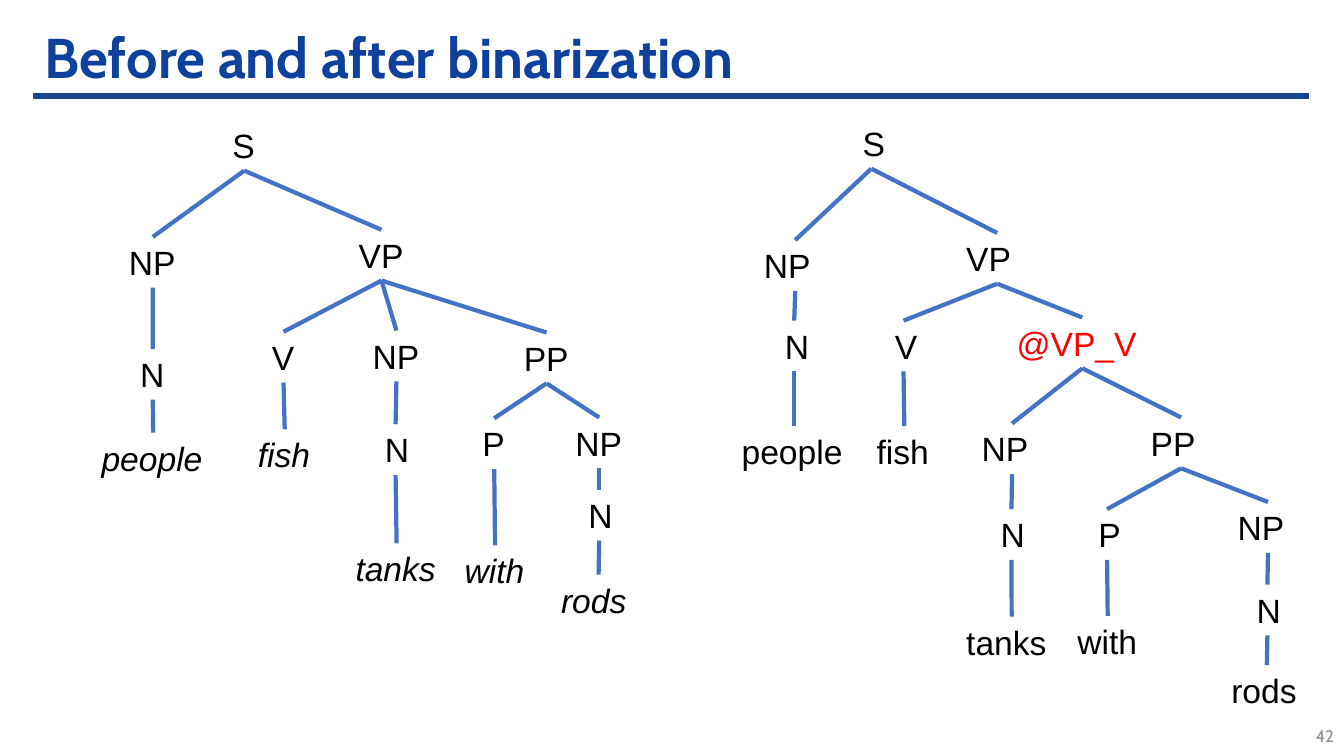
import pptx
import pptx.dml.color
import pptx.enum.shapes
import pptx.enum.text
import pptx.oxml.ns
import pptx.util
from lxml import etree

Cm, Pt = pptx.util.Cm, pptx.util.Pt
MSO_ANCHOR, PP_ALIGN = pptx.enum.text.MSO_ANCHOR, pptx.enum.text.PP_ALIGN

TITLE = "Before and after binarization"
PAGE = "42"

# Node: label, left, top, width (cm), then its child nodes
BEFORE = (
    "S", 5.61, 3.02, 1.09,
    ("NP", 3.0, 5.97, 1.7,
     ("N", 3.28, 8.79, 1.14,
      ("people", 2.31, 10.9, 3.1))),
    ("VP", 8.79, 5.79, 1.65,
     ("V", 6.6, 8.36, 1.09,
      ("fish", 6.25, 10.82, 1.85)),
     ("NP", 9.14, 8.33, 1.7,
      ("N", 9.45, 10.69, 1.04,
       ("tanks", 8.71, 13.69, 2.57))),
     ("PP", 12.95, 8.38, 1.65,
      ("P", 11.91, 10.54, 1.09,
       ("with", 11.46, 13.74, 2.03)),
      ("NP", 14.25, 10.52, 1.7,
       ("N", 14.58, 12.34, 1.04,
        ("rods", 13.89, 14.48, 2.39))))),
)
AFTER = (
    "S", 21.49, 2.97, 0.94,
    ("NP", 19.0, 6.05, 2.08,
     ("N", 19.53, 8.08, 0.97,
      ("people", 18.44, 10.74, 3.15))),
    ("VP", 24.1, 5.87, 2.06,
     ("V", 22.3, 8.08, 0.94,
      ("fish", 21.84, 10.74, 1.9)),
     ("@VP_V", 25.37, 8.0, 3.81,
      ("NP", 24.49, 10.67, 2.03,
       ("N", 24.97, 12.83, 1.04,
        ("tanks", 24.1, 15.54, 2.79))),
      ("PP", 28.75, 10.52, 2.03,
       ("P", 27.43, 12.83, 0.94,
        ("with", 26.9, 15.52, 2.03)),
       ("NP", 30.94, 12.65, 2.03,
        ("N", 31.42, 14.73, 1.04,
         ("rods", 30.78, 16.76, 2.29)))))),
)
NODE_H = 1.28
BLACK, RED, NAVY, BAR, EDGE, GREY = (
    "000000", "FF0000", "0E419C", "174593", "4472C4", "8C8C8C")


def rgb(color):
    return pptx.dml.color.RGBColor.from_string(color)


def write(sp, text, size, font, color, bold=False, italic=False,
          align=PP_ALIGN.LEFT, anchor=MSO_ANCHOR.MIDDLE):
    tf = sp.text_frame
    tf.text = text
    tf.word_wrap = True
    tf.auto_size = pptx.enum.text.MSO_AUTO_SIZE.NONE
    tf.vertical_anchor = anchor
    p = tf.paragraphs[0]
    p.alignment = align
    f = p.runs[0].font
    f.size, f.name, f.bold, f.italic = Pt(size), font, bold, italic
    f.color.rgb = rgb(color)
    return tf


def add_edge(slide, x1, y1, x2, y2):
    line = slide.shapes.add_connector(
        pptx.enum.shapes.MSO_CONNECTOR.STRAIGHT, Cm(x1), Cm(y1), Cm(x2), Cm(y2))
    line.line.color.rgb = rgb(EDGE)
    line.line.width = Pt(3)
    etree.SubElement(line._element.spPr, pptx.oxml.ns.qn("a:effectLst"))


def add_tree(slide, node, italic_words):
    """Draw a node, its subtrees and the edges down to them."""
    label, left, top, width, *children = node
    box = slide.shapes.add_textbox(Cm(left), Cm(top), Cm(width), Cm(NODE_H))
    tf = write(box, label, 24, "Arial", RED if label.startswith("@") else BLACK,
               italic=italic_words and not children, anchor=MSO_ANCHOR.TOP)
    tf.margin_right = 0
    for child in children:
        _, child_left, child_top, child_width = child[:4]
        add_edge(slide, left + width / 2, top + NODE_H,
                 child_left + child_width / 2, child_top)
        add_tree(slide, child, italic_words)


def main():
    prs = pptx.Presentation()
    prs.slide_width, prs.slide_height = Cm(33.87), Cm(19.05)
    slide = prs.slides.add_slide(prs.slide_layouts[5])

    title = slide.shapes.title
    title.left, title.top, title.width, title.height = (
        Cm(0.86), Cm(0.66), Cm(32.11), Cm(1.7))
    tf = write(title, TITLE, 40, "Cabin", NAVY, bold=True)
    tf.paragraphs[0].line_spacing = 0.9

    bar = slide.shapes.add_shape(pptx.enum.shapes.MSO_SHAPE.RECTANGLE,
                                 Cm(0.86), Cm(2.36), Cm(32.11), Cm(0.13))
    bar.shadow.inherit = False
    bar.fill.solid()
    bar.fill.fore_color.rgb = rgb(BAR)
    bar.line.color.rgb = rgb(BAR)
    bar.line.width = Pt(1)

    number = slide.shapes.add_textbox(Cm(32.17), Cm(18.03), Cm(1.7), Cm(1.02))
    write(number, PAGE, 12, "Cabin", GREY, align=PP_ALIGN.RIGHT)

    add_tree(slide, BEFORE, True)
    add_tree(slide, AFTER, False)
    prs.save("out.pptx")


if __name__ == "__main__":
    main()
